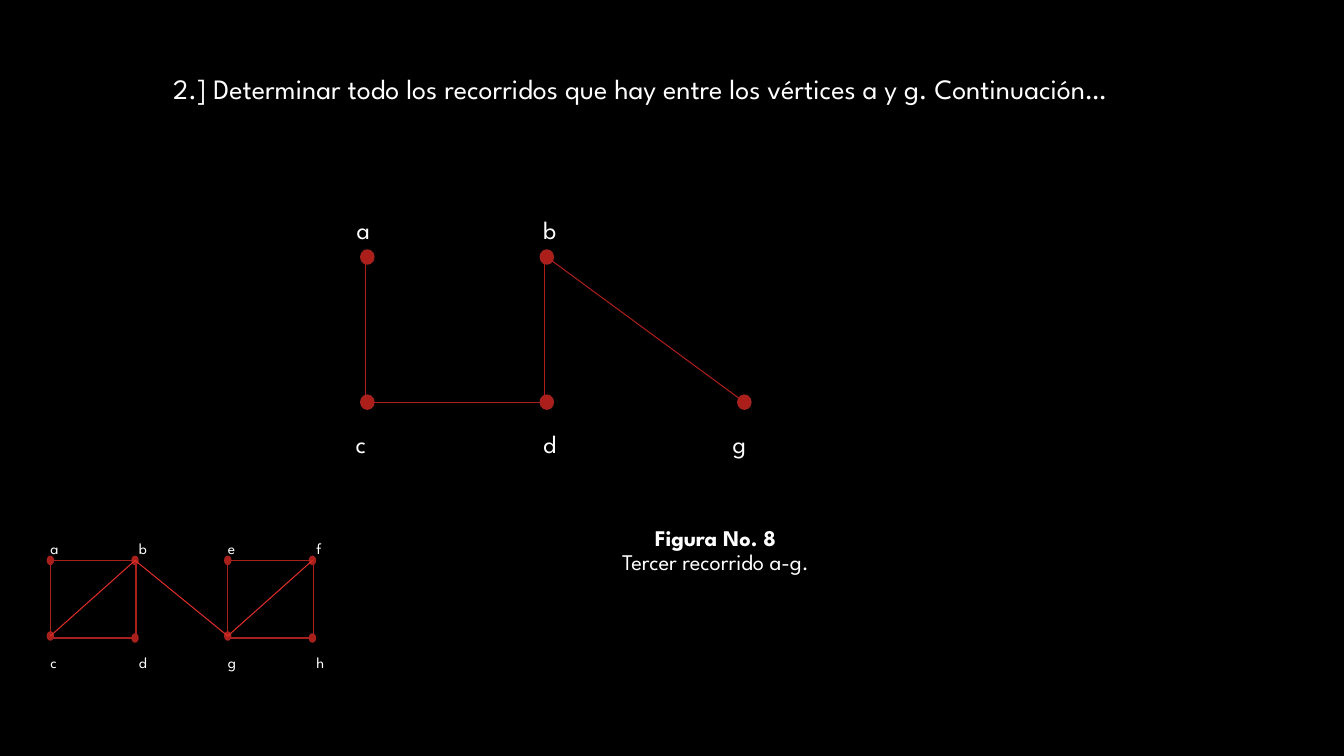
from pptx import Presentation
from pptx.dml.color import RGBColor
from pptx.enum.shapes import MSO_CONNECTOR, MSO_SHAPE
from pptx.enum.text import PP_ALIGN
from pptx.oxml.xmlchemy import OxmlElement
from pptx.util import Pt

OVAL, RECT = MSO_SHAPE.OVAL, MSO_SHAPE.RECTANGLE
STRAIGHT = MSO_CONNECTOR.STRAIGHT
LEFT, CENTER, JUSTIFY = PP_ALIGN.LEFT, PP_ALIGN.CENTER, PP_ALIGN.JUSTIFY
BLACK = RGBColor(0x00, 0x00, 0x00)
WHITE = RGBColor(0xFF, 0xFF, 0xFF)
DOT = RGBColor(0xAC, 0x1E, 0x1A)
OUTLINE = RGBColor(0xA5, 0x22, 0x1E)
BRIGHT = RGBColor(0xDF, 0x2E, 0x28)
FONT = "League Spartan"


def add_text(shapes, left, top, width, height, lines, size, align=LEFT, spacing=1.0):
    tf = shapes.add_textbox(Pt(left), Pt(top), Pt(width), Pt(height)).text_frame
    tf.word_wrap = True
    for i, (text, bold) in enumerate(lines):
        p = tf.paragraphs[0] if i == 0 else tf.add_paragraph()
        p.text = text
        p.alignment = align
        p.line_spacing = spacing
        p.font.name = FONT
        p.font.size = Pt(size)
        p.font.bold = bold
        p.font.color.rgb = WHITE


def add_outlined(shapes, kind, left, top, width, height, fill=None):
    sp = shapes.add_shape(kind, Pt(left), Pt(top), Pt(width), Pt(height))
    sp.shadow.inherit = False
    if fill is None:
        sp.fill.background()
    else:
        sp.fill.solid()
        sp.fill.fore_color.rgb = fill
    sp.line.color.rgb = OUTLINE
    sp.line.width = Pt(1)


def add_edge(shapes, x1, y1, x2, y2, color):
    line = shapes.add_connector(STRAIGHT, Pt(x1), Pt(y1), Pt(x2), Pt(y2))
    line.line.color.rgb = color
    line.line.width = Pt(0.75)
    line._element.spPr.append(OxmlElement("a:effectLst"))


def add_nodes(shapes, left, top, nodes, dot, label, size):
    dot_w, dot_h = dot
    label_w, label_h = label
    for name, (x, y, label_dx, label_y) in nodes.items():
        add_outlined(shapes, OVAL, left + x - dot_w / 2, top + y - dot_h / 2,
                     dot_w, dot_h, DOT)
        add_text(shapes, left + x + label_dx, top + label_y, label_w, label_h,
                 [(name, False)], size)


def add_edges(shapes, left, top, nodes, edges, color, upright_dx=0):
    for start, end in edges:
        x1, y1 = nodes[start][:2]
        x2, y2 = nodes[end][:2]
        dx = upright_dx if x1 == x2 else 0
        add_edge(shapes, left + x1 + dx, top + y1, left + x2 + dx, top + y2, color)


def add_route(s, left, top):
    above, below = -33.8, 118.8
    nodes = {
        "a": (0, 0, -14.7, above),
        "b": (128.2, 0, -9.7, above),
        "c": (0, 103.7, -15.4, below),
        "d": (128.2, 103.7, -9.7, below),
        "g": (269.3, 103.7, -15.4, below),
    }
    add_nodes(s.shapes, left, top, nodes, (9.4, 10.1), (36, 28.8), 18)
    add_edges(s.shapes, left, top, nodes, ["bg", "cd", "ac", "bd"], DOT, -1.4)


def add_full_graph(s, left, top):
    shapes = s.shapes.add_group_shape().shapes
    nodes = {}
    for x, (nw, ne, sw, se) in ((0, "abcd"), (126.7, "efgh")):
        nodes[nw] = (x, 0, -7, -18.7)
        nodes[ne] = (x + 60.5, 0, -4.3, -18.7)
        nodes[sw] = (x, 54, -7, 62.7)
        nodes[se] = (x + 60.5, 55.4, -4.3, 62.3)
        add_outlined(shapes, RECT, left + x, top, 61.2, 55.4)
    add_nodes(shapes, left, top, nodes, (4.3, 5.8), (17.3, 20.9), 11)
    add_edges(shapes, left, top, nodes, ["bg", "cb", "gf"], BRIGHT)


def main():
    prs = Presentation()
    prs.slide_width, prs.slide_height = Pt(960), Pt(540)
    s = prs.slides.add_slide(prs.slide_layouts[6])
    s.background.fill.solid()
    s.background.fill.fore_color.rgb = BLACK
    title = "2.] Determinar todo los recorridos que hay entre los vértices a y g. Continuación…"
    add_text(s.shapes, 116.6, 50.4, 789, 30, [(title, False)], 20, JUSTIFY, 0.9)
    add_route(s, 262.4, 183.6)
    caption = [("Figura No. 8", True), ("Tercer recorrido a-g.", False)]
    add_text(s.shapes, 116.6, 373, 789, 44, caption, 16, CENTER, 0.9)
    add_full_graph(s, 36, 400.3)
    prs.save("out.pptx")


if __name__ == "__main__":
    main()
